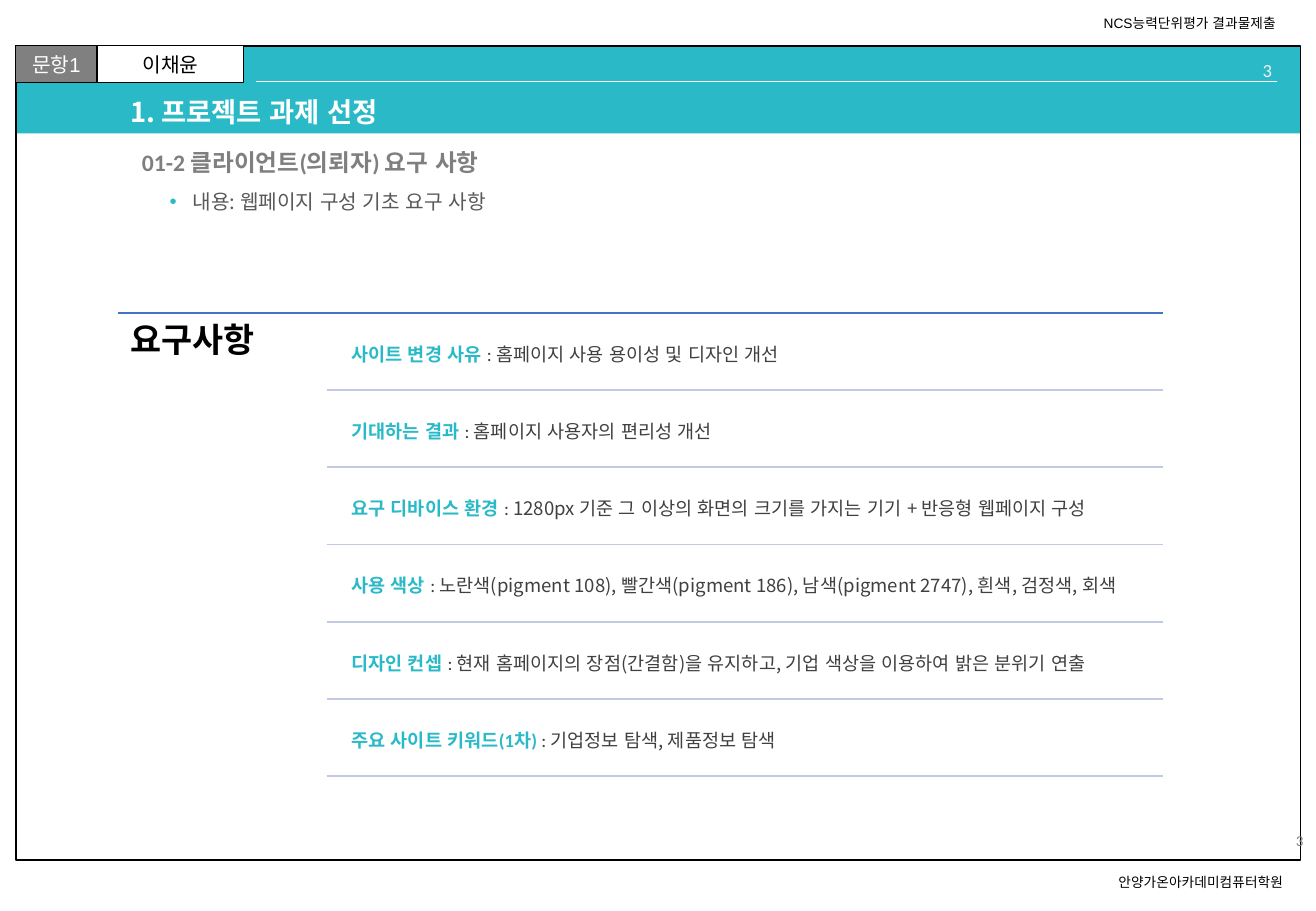
from lxml.etree import SubElement
from pptx import Presentation
from pptx.dml.color import RGBColor
from pptx.enum.lang import MSO_LANGUAGE_ID as Language
from pptx.enum.shapes import MSO_CONNECTOR, MSO_SHAPE
from pptx.enum.text import MSO_ANCHOR as Anchor, MSO_AUTO_SIZE, PP_ALIGN as Align
from pptx.oxml.ns import qn
from pptx.util import Cm, Pt

COLORS = {
    "teal": "2AB9C7", "black": "000000", "white": "FFFFFF", "gray": "808080",
    "pale": "F2F2F2", "heading": "7F7F7F", "body": "595959", "text": "404040",
    "blue": "4472C4", "rule": "C1C9E4",
}
NOTO = "Noto Sans CJK KR"

presentation = Presentation()
presentation.slide_width = Cm(27.52)
presentation.slide_height = Cm(19.05)
slide = presentation.slides.add_slide(presentation.slide_layouts[5])
title = slide.shapes.title


def write(shape, runs, align=Align.LEFT, anchor=Anchor.TOP, wrap=True, **spacing):
    frame = shape.text_frame
    frame_format = {"auto_size": MSO_AUTO_SIZE.NONE, "word_wrap": wrap, "vertical_anchor": anchor}
    for name, value in frame_format.items():
        setattr(frame, name, value)
    paragraph = frame.paragraphs[0]
    for name, value in {"alignment": align, **spacing}.items():
        setattr(paragraph, name, value)
    for text, size, font_name, color, bold in runs:
        run = paragraph.add_run()
        run.text = text
        font_format = {"size": Pt(size), "name": font_name, "bold": bold,
                       "language_id": Language.KOREAN}
        for name, value in font_format.items():
            setattr(run.font, name, value)
        run.font.color.rgb = RGBColor.from_string(COLORS[color])
        SubElement(run.font._element, qn("a:ea"), typeface=NOTO)
    return paragraph


def add_rule(left, right, y, color, width):
    rule = slide.shapes.add_connector(MSO_CONNECTOR.STRAIGHT, Cm(left), Cm(y), Cm(right), Cm(y))
    rule.line.color.rgb = RGBColor.from_string(COLORS[color])
    rule.line.width = Pt(width)
    SubElement(rule._element.spPr, qn("a:effectLst"))


boxes = [
    (0.32, 0.96, 26.87, 1.83, "teal", None, None),
    (0.33, 0.96, 26.87, 17.02, None, 1, None),
    (0.33, 0.96, 1.7, 0.76, "gray", 0.75, ("문항1", 12, "Arial", "white", False)),
    (2.03, 0.96, 3.07, 0.76, "white", 0.75, ("이채윤", 12, NOTO, "black", False)),
]
for left, top, width, height, fill, border, label in boxes:
    box = slide.shapes.add_shape(MSO_SHAPE.RECTANGLE, Cm(left), Cm(top), Cm(width), Cm(height))
    box.shadow.inherit = False
    if fill:
        box.fill.solid()
        box.fill.fore_color.rgb = RGBColor.from_string(COLORS[fill])
    else:
        box.fill.background()
    if border:
        box.line.color.rgb = RGBColor.from_string(COLORS["black"])
        box.line.width = Pt(border)
    else:
        box.line.fill.background()
    if label:
        write(box, [label], Align.CENTER, Anchor.MIDDLE, wrap=False)

add_rule(5.36, 26.7, 1.7, "white", 0.5)

slide.shapes._spTree.append(title._element)
title_place = {"left": Cm(2.47), "top": Cm(1.94), "width": Cm(22.25), "height": Cm(0.86)}
for name, value in title_place.items():
    setattr(title, name, value)
write(title, [("1. 프로젝트 과제 선정", 16.2, NOTO, "white", True)],
      anchor=Anchor.MIDDLE, line_spacing=0.9)

texts = [
    (22.83, 0.18, 4.37, 0.61, ("NCS능력단위평가 결과물제출", 8.1, "Arial", "black", False),
     {"wrap": False}),
    (23.14, 18.14, 4.27, 0.61, ("안양가온아카데미컴퓨터학원", 8.1, "Arial", "black", False),
     {"wrap": False}),
    (23.85, 1.1, 3, 0.51, ("3", 11, "Calibri", "pale", False), {"align": Align.RIGHT}),
    (24.21, 17.32, 3.3, 0.58, ("3", 8.9, "Calibri", "gray", False),
     {"align": Align.RIGHT, "anchor": Anchor.BOTTOM}),
    (2.72, 3, 22, 0.86, ("01-2 클라이언트(의뢰자) 요구 사항", 14, "Calibri", "heading", True),
     {"anchor": Anchor.MIDDLE, "line_spacing": 0.9, "space_before": Pt(10)}),
    (2.47, 6.54, 4.37, 9.78, ("요구사항", 20, "Calibri", "black", True), {}),
    (3.3, 3.84, 21.4, 0.86, ("내용: 웹페이지 구성 기초 요구 사항", 12, NOTO, "body", False),
     {"space_before": Pt(3)}),
]
for left, top, width, height, run, layout in texts:
    box = slide.shapes.add_textbox(Cm(left), Cm(top), Cm(width), Cm(height))
    paragraph = write(box, [run], **layout)

properties = paragraph._p.get_or_add_pPr()
properties.set("marL", str(Cm(0.48)))
properties.set("indent", str(-Cm(0.48)))
SubElement(SubElement(properties, qn("a:buClr")), qn("a:srgbClr"), val=COLORS["teal"])
SubElement(properties, qn("a:buFont"), typeface="Arial")
SubElement(properties, qn("a:buChar"), char="•")

requirements = [
    ("사이트 변경 사유", "홈페이지 사용 용이성 및 디자인 개선"),
    ("기대하는 결과", "홈페이지 사용자의 편리성 개선"),
    ("요구 디바이스 환경", "1280px 기준 그 이상의 화면의 크기를 가지는 기기 + 반응형 웹페이지 구성"),
    ("사용 색상", "노란색(pigment 108), 빨간색(pigment 186), 남색(pigment 2747), 흰색, 검정색, 회색"),
    ("디자인 컨셉", "현재 홈페이지의 장점(간결함)을 유지하고, 기업 색상을 이용하여 밝은 분위기 연출"),
    ("주요 사이트 키워드(1차)", "기업정보 탐색, 제품정보 탐색"),
]
list_top, row_height, text_height = 6.54, 1.615, 0.76
add_rule(2.46, 24.33, list_top, "blue", 1)
for index, (label, detail) in enumerate(requirements):
    row_top = list_top + index * row_height
    box = slide.shapes.add_textbox(Cm(7.1), Cm(row_top + 0.48), Cm(17.22), Cm(text_height))
    write(box, [
        (label + " ", 11, "Calibri", "teal", True),
        (": ", 11, "Calibri", "text", False),
        (detail, 11, NOTO, "text", False),
    ], anchor=Anchor.MIDDLE)
    add_rule(6.83, 24.33, row_top + row_height, "rule", 1)

presentation.save("out.pptx")
